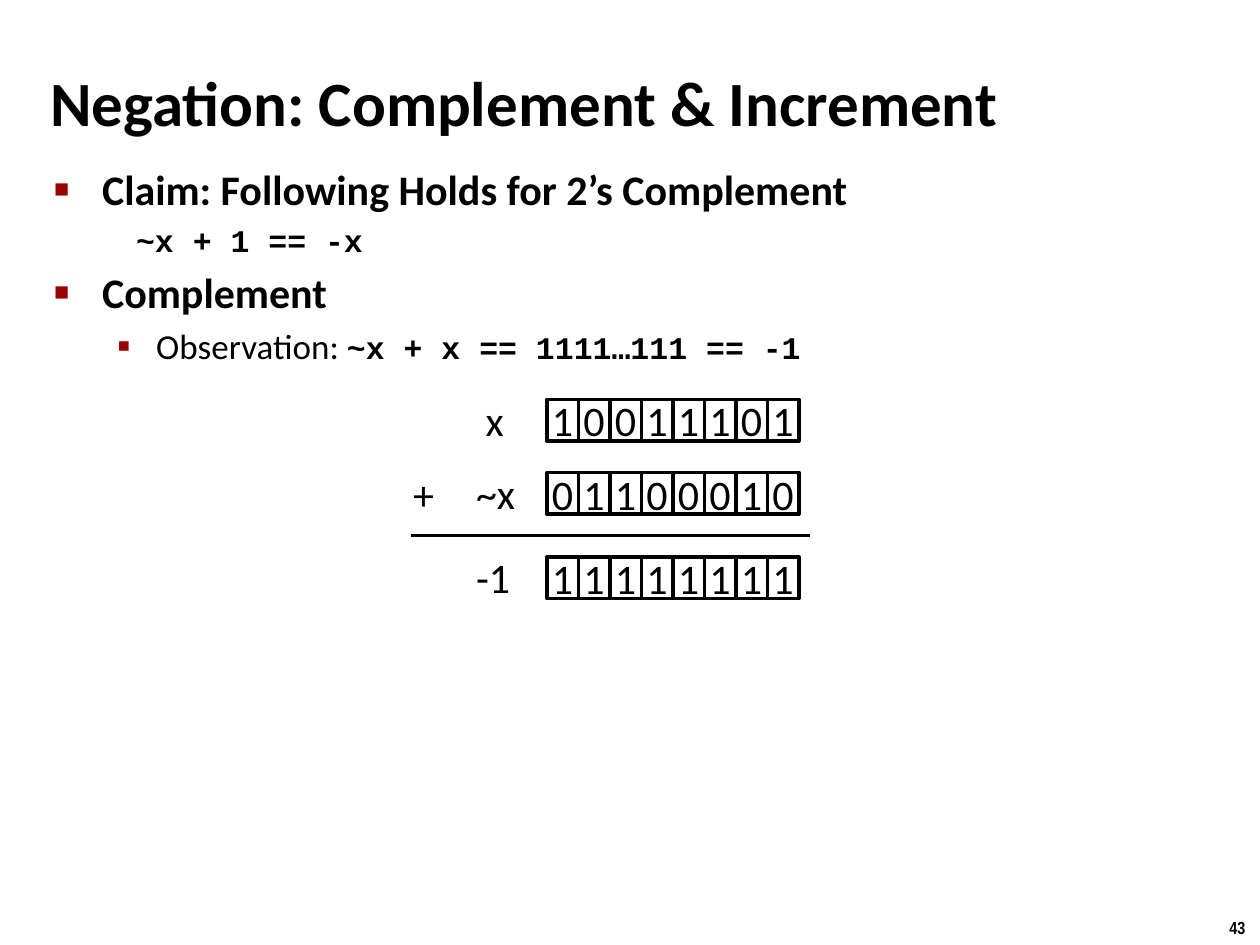
from lxml.etree import SubElement
from pptx import Presentation
from pptx.dml.color import RGBColor
from pptx.enum.shapes import MSO_CONNECTOR, MSO_SHAPE
from pptx.enum.text import MSO_ANCHOR, MSO_AUTO_SIZE, PP_ALIGN
from pptx.oxml.ns import qn
from pptx.util import Inches, Pt

BLACK, WHITE, DARK_RED = "000000", "FFFFFF", "990000"
BODY_FONT, CODE_FONT = "Calibri", "Courier New"
BIT_WIDTH, BIT_HEIGHT = 0.25, 0.33


def color(hex_value):
    return RGBColor.from_string(hex_value)


def place(shape, left, top, width, height):
    shape.left, shape.top = Inches(left), Inches(top)
    shape.width, shape.height = Inches(width), Inches(height)


def add_run(paragraph, text, size, font=BODY_FONT, bold=False):
    run = paragraph.add_run()
    run.text = text
    run.font.size = Pt(size)
    run.font.name = font
    run.font.bold = bold
    run.font.color.rgb = color(BLACK)


def set_indent(paragraph, left, first):
    properties = paragraph._p.get_or_add_pPr()
    properties.set("marL", str(Inches(left)))
    properties.set("indent", str(Inches(first)))
    return properties


def set_bullet(properties, bullet, percent):
    if not bullet:
        SubElement(properties, qn("a:buNone"))
        return
    bullet_color = SubElement(properties, qn("a:buClr"))
    SubElement(bullet_color, qn("a:srgbClr"), val=DARK_RED)
    SubElement(properties, qn("a:buSzPct"), val=str(percent * 1000))
    SubElement(properties, qn("a:buChar"), char=bullet)


def add_label(shapes, text, left, top, width, height, size=24, font=BODY_FONT, bold=False):
    label = shapes.add_textbox(Inches(left), Inches(top), Inches(width), Inches(height))
    label.text_frame.word_wrap = False
    label.text_frame.auto_size = MSO_AUTO_SIZE.SHAPE_TO_FIT_TEXT
    add_run(label.text_frame.paragraphs[0], text, size, font, bold)


def fill_title(title, left, top, width, height):
    place(title, left, top, width, height)
    frame = title.text_frame
    frame.auto_size = MSO_AUTO_SIZE.NONE
    frame.vertical_anchor = MSO_ANCHOR.MIDDLE
    heading = frame.paragraphs[0]
    heading.alignment = PP_ALIGN.LEFT
    set_indent(heading, 0.13, -0.13)
    add_run(heading, "Negation: Complement & Increment", 36, bold=True)


def fill_claims(body, left, top, width, height):
    place(body, left, top, width, height)
    frame = body.text_frame
    frame.auto_size = MSO_AUTO_SIZE.NONE
    claims = [
        (0, "■", 60, [("Claim: Following Holds for 2’s Complement", 24, BODY_FONT, True)]),
        (1, None, 0, [(" ~x + 1 == -x", 18, CODE_FONT, True)]),
        (0, "■", 60, [("Complement", 24, BODY_FONT, True)]),
        (1, "▪", 110, [("Observation: ", 20, BODY_FONT, False),
                       ("~x + x == 1111…111 == -1", 18, CODE_FONT, True)]),
    ]
    indents = [(0.38, -0.38), (0.81, -0.31)]
    for index, (level, bullet, percent, runs) in enumerate(claims):
        claim = frame.add_paragraph() if index else frame.paragraphs[0]
        claim.level = level
        set_bullet(set_indent(claim, *indents[level]), bullet, percent)
        for run in runs:
            add_run(claim, *run)


def add_bit(shapes, digit, left, top):
    bit = shapes.add_shape(MSO_SHAPE.RECTANGLE, Inches(left), Inches(top),
                           Inches(BIT_WIDTH), Inches(BIT_HEIGHT))
    bit.shadow.inherit = False
    bit.fill.solid()
    bit.fill.fore_color.rgb = color(WHITE)
    bit.line.color.rgb = color(BLACK)
    bit.line.width = Pt(2)
    bit.text_frame.word_wrap = False
    bit.text_frame.vertical_anchor = MSO_ANCHOR.MIDDLE
    bit.text_frame.paragraphs[0].alignment = PP_ALIGN.CENTER
    add_run(bit.text_frame.paragraphs[0], digit, 24)


def add_operand(slide, name, name_width, digits, left, top):
    operand = slide.shapes.add_group_shape().shapes
    for index, digit in enumerate(digits):
        add_bit(operand, digit, left + 0.66 + index * BIT_WIDTH, top)
    add_label(operand, name, left, top - 0.09, name_width, 0.51)


def add_sum(slide, left, top):
    operands = [(" x", 0.43, "10011101", 0),
                ("~x", 0.52, "01100010", 0.58),
                ("-1", 0.48, "11111111", 1.25)]
    for name, name_width, digits, offset in operands:
        add_operand(slide, name, name_width, digits, left + 0.5, top + offset)
    add_label(slide.shapes, "+", left, top + 0.5, 0.37, 0.51)
    rule_y = Inches(top + 1.08)
    sum_rule = slide.shapes.add_connector(MSO_CONNECTOR.STRAIGHT, Inches(left + 0.08), rule_y,
                                          Inches(left + 3.25), rule_y)
    sum_rule.line.color.rgb = color(BLACK)
    sum_rule.line.width = Pt(2)
    SubElement(sum_rule._element.spPr, qn("a:effectLst"))


def main():
    presentation = Presentation()
    presentation.slide_width, presentation.slide_height = Inches(10), Inches(7.5)
    slide = presentation.slides.add_slide(presentation.slide_layouts[1])
    fill_title(slide.shapes.title, 0.3, 0.5, 9.7, 0.61)
    fill_claims(slide.placeholders[1], 0.33, 1.25, 8.59, 5.71)
    add_sum(slide, 3.18, 3.17)
    add_label(slide.shapes, "43", 9.66, 7.23, 0.34, 0.27, 10, "Arial Narrow", True)
    presentation.save("out.pptx")


if __name__ == "__main__":
    main()
